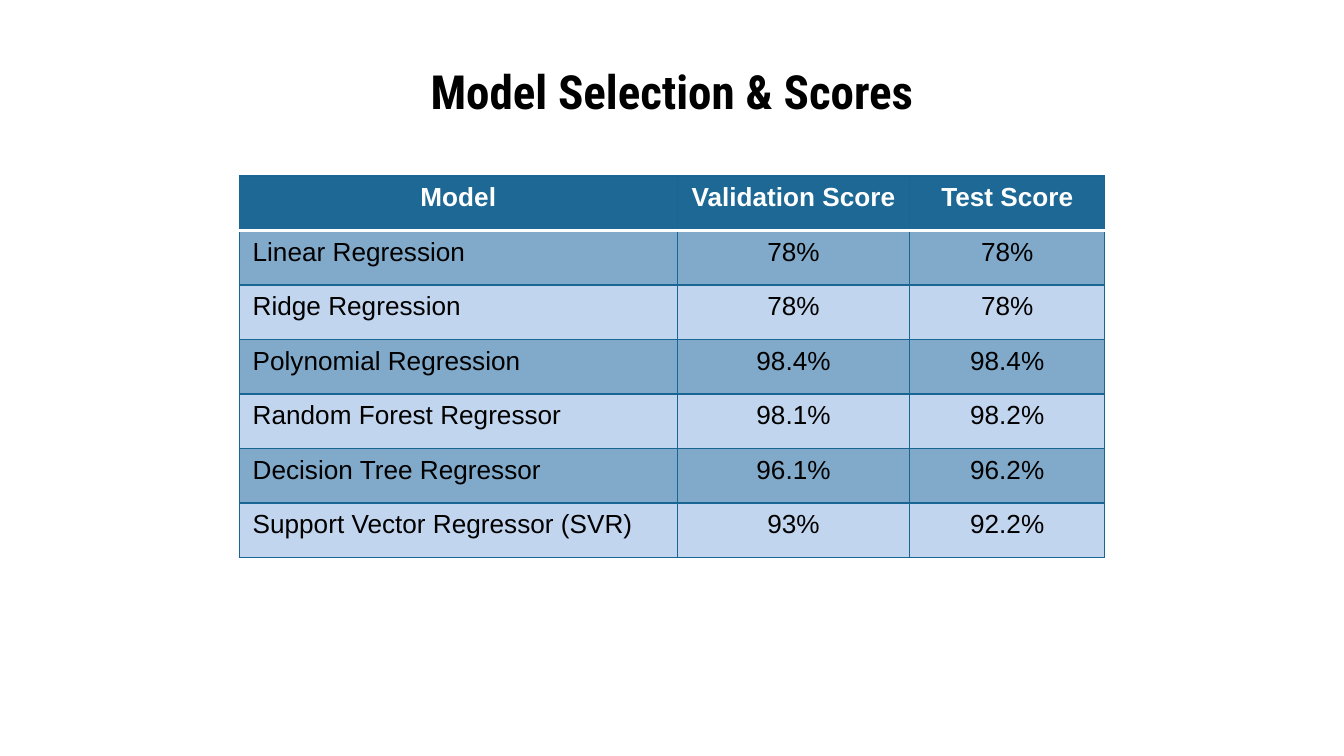
from lxml import etree
from pptx import Presentation
from pptx.dml.color import RGBColor
from pptx.enum import text
from pptx.oxml.ns import qn
from pptx.util import Inches, Pt

HEADER, DARK_BAND, LIGHT_BAND = "1D6895", "80A9CA", "C2D5EE"
GRID, WHITE, BLACK = "196695", "FFFFFF", "000000"
ROWS = [
    ("Model", "Validation Score", "Test Score"),
    ("Linear Regression", "78%", "78%"),
    ("Ridge Regression", "78%", "78%"),
    ("Polynomial Regression", "98.4%", "98.4%"),
    ("Random Forest Regressor", "98.1%", "98.2%"),
    ("Decision Tree Regressor", "96.1%", "96.2%"),
    ("Support Vector Regressor (SVR)", "93%", "92.2%"),
]
COL_WIDTHS = (3.26, 1.73, 1.45)
TABLE_HEIGHT = 2.84


def style_font(p, name, size, color, bold):
    p.font.name, p.font.size, p.font.bold = name, Pt(size), bold
    p.font.color.rgb = RGBColor.from_string(color)


def add_border(cell, side, color, width):
    """Draw one cell edge; side is L, R, T or B, in that order."""
    ln = etree.SubElement(cell._tc.get_or_add_tcPr(), qn(f"a:ln{side}"), w=str(Pt(width)))
    fill = etree.SubElement(ln, qn("a:solidFill"))
    etree.SubElement(fill, qn("a:srgbClr"), val=color)


prs = Presentation()
prs.slide_width, prs.slide_height = Inches(10), Inches(10 * 9 / 16)
s = prs.slides.add_slide(prs.slide_layouts[5])

title = s.shapes.title
title.left, title.top = Inches(2.99), Inches(0.47)
title.width, title.height = Inches(4.02), Inches(0.41)
tf = title.text_frame
tf.text = "Model Selection & Scores"
tf.word_wrap = True
tf.auto_size = text.MSO_AUTO_SIZE.NONE
tf.vertical_anchor = text.MSO_ANCHOR.MIDDLE
tf.margin_left = tf.margin_right = tf.margin_top = tf.margin_bottom = Inches(0.1)
p = tf.paragraphs[0]
p.alignment = text.PP_ALIGN.CENTER
style_font(p, "Roboto Condensed", 25.2, BLACK, True)

table = s.shapes.add_table(
    len(ROWS), len(COL_WIDTHS), Inches(1.78), Inches(1.31),
    Inches(sum(COL_WIDTHS)), Inches(TABLE_HEIGHT)).table
table.first_row = table.horz_banding = False
for column, width in zip(table.columns, COL_WIDTHS):
    column.width = Inches(width)

for r, values in enumerate(ROWS):
    table.rows[r].height = Inches(TABLE_HEIGHT / len(ROWS))
    is_header = r == 0
    band = HEADER if is_header else DARK_BAND if r % 2 else LIGHT_BAND
    for c, value in enumerate(values):
        cell = table.cell(r, c)
        cell.text = value
        p = cell.text_frame.paragraphs[0]
        centered = is_header or c > 0
        p.alignment = text.PP_ALIGN.CENTER if centered else text.PP_ALIGN.LEFT
        style_font(p, "Arial", 14, WHITE if is_header else BLACK, is_header)
        for side in "LRTB":
            under_header = (r, side) in ((0, "B"), (1, "T"))
            add_border(cell, side, *((WHITE, 2) if under_header else (GRID, 0.75)))
        cell.fill.solid()
        cell.fill.fore_color.rgb = RGBColor.from_string(band)

prs.save("out.pptx")
